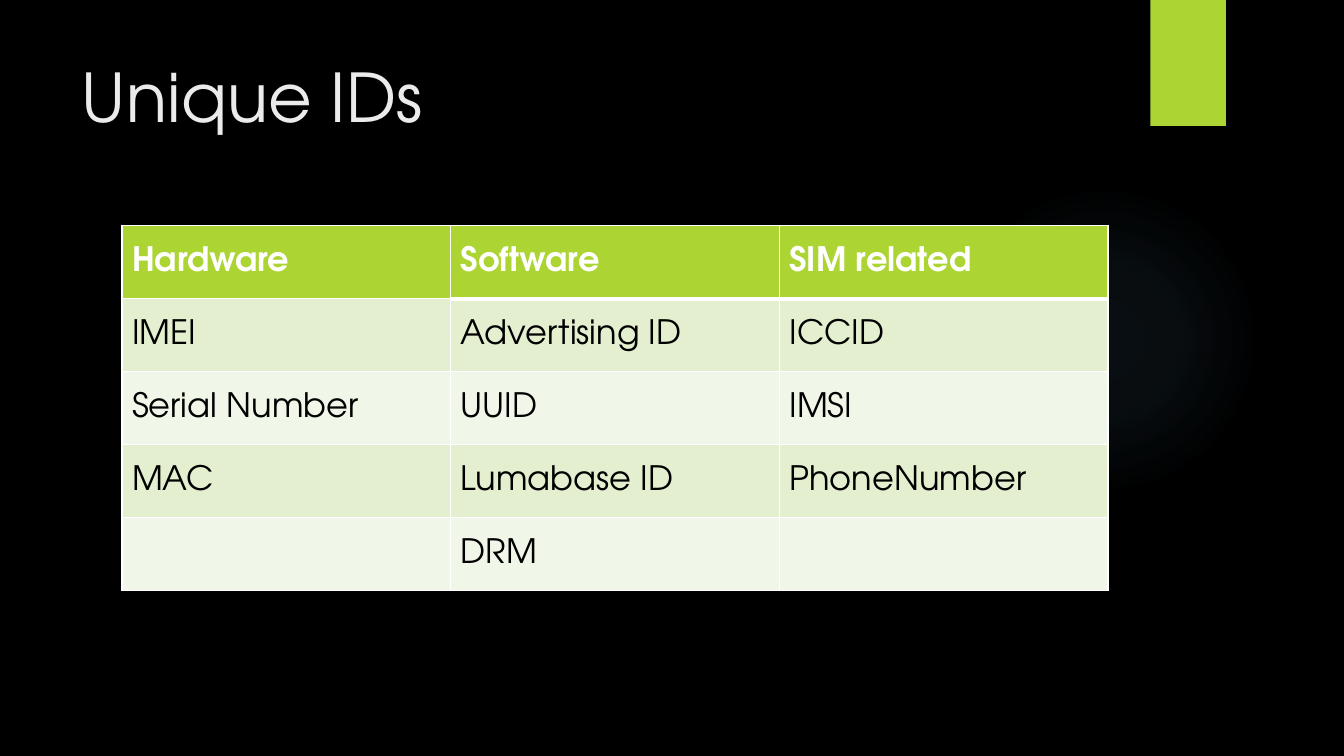
from lxml import etree
from pptx import Presentation
from pptx.dml.color import RGBColor
from pptx.enum.shapes import MSO_SHAPE as SHAPE
from pptx.enum.text import MSO_ANCHOR as ANCHOR, PP_ALIGN as ALIGN
from pptx.oxml import parse_xml
from pptx.oxml.ns import nsdecls, qn
from pptx.util import Inches, Pt

FONT = "TeX Gyre Adventor"
GREEN = "ACD433"
WHITE = "FFFFFF"


def rgb(value):
    return RGBColor.from_string(value)


def add_run(p, text, size, color, bold=False):
    r = p.add_run()
    r.text = text
    r.font.name = FONT
    r.font.size = Pt(size)
    r.font.bold = bold
    r.font.color.rgb = rgb(color)


prs = Presentation()
prs.slide_width = Inches(13.33)
prs.slide_height = Inches(7.5)
s = prs.slides.add_slide(prs.slide_layouts[5])
s.background.fill.solid()
s.background.fill.fore_color.rgb = rgb("000000")

glow = s.shapes.add_shape(SHAPE.OVAL, Inches(9.41), Inches(1.83), Inches(3.08), Inches(3.08))
glow.shadow.inherit = False
glow.line.fill.background()
stops = "".join(
    f'<a:gs pos="{pos * 1000}"><a:srgbClr val="7AC4F0"><a:alpha val="{alpha * 1000}"/></a:srgbClr></a:gs>'
    for pos, alpha in [(0, 7), (36, 6), (69, 0), (100, 0)]
)
gradient = parse_xml(
    f'<a:gradFill {nsdecls("a")}><a:gsLst>{stops}</a:gsLst><a:path path="circle">'
    '<a:fillToRect l="50000" t="50000" r="50000" b="50000"/></a:path></a:gradFill>'
)
glow.element.spPr.find(qn("a:prstGeom")).addnext(gradient)

tab = s.shapes.add_shape(SHAPE.RECTANGLE, Inches(11.41), 0, Inches(0.75), Inches(1.25))
tab.shadow.inherit = False
tab.line.fill.background()
tab.fill.solid()
tab.fill.fore_color.rgb = rgb(GREEN)

title = s.shapes.title
title.left, title.top = Inches(0.71), Inches(0.5)
title.width, title.height = Inches(10.29), Inches(1.53)
tf = title.text_frame
tf.word_wrap = True
tf.vertical_anchor = ANCHOR.TOP
p = tf.paragraphs[0]
p.alignment = ALIGN.LEFT
add_run(p, "Unique IDs", 48, "EBEBEB")

rows = [
    ["Hardware", "Software", "SIM related"],
    ["IMEI", "Advertising ID", "ICCID"],
    ["Serial Number", "UUID", "IMSI"],
    ["MAC", "Lumabase ID", "PhoneNumber"],
    ["", "DRM", ""],
]
frame = s.shapes.add_table(len(rows), 3, Inches(1.21), Inches(2.24), Inches(9.78), Inches(3.62))
table = frame.table
for row in table.rows:
    row.height = Inches(3.62 / len(rows))
for i, texts in enumerate(rows):
    header = i == 0
    fill = GREEN if header else ("F1F7E8", "E3EFCE")[i % 2]
    for j, text in enumerate(texts):
        cell = table.cell(i, j)
        cell.vertical_anchor = ANCHOR.MIDDLE
        tcPr = cell._tc.get_or_add_tcPr()
        for side in "LRTB":
            thick = j > 0 and (i, side) in [(0, "B"), (1, "T")]
            ln = etree.SubElement(tcPr, qn(f"a:ln{side}"), w=str(Pt(3 if thick else 1)))
            solid = etree.SubElement(ln, qn("a:solidFill"))
            etree.SubElement(solid, qn("a:srgbClr"), val=WHITE)
        cell.fill.solid()
        cell.fill.fore_color.rgb = rgb(fill)
        if text:
            add_run(cell.text_frame.paragraphs[0], text, 24, WHITE if header else "000000", header)

prs.save("out.pptx")
